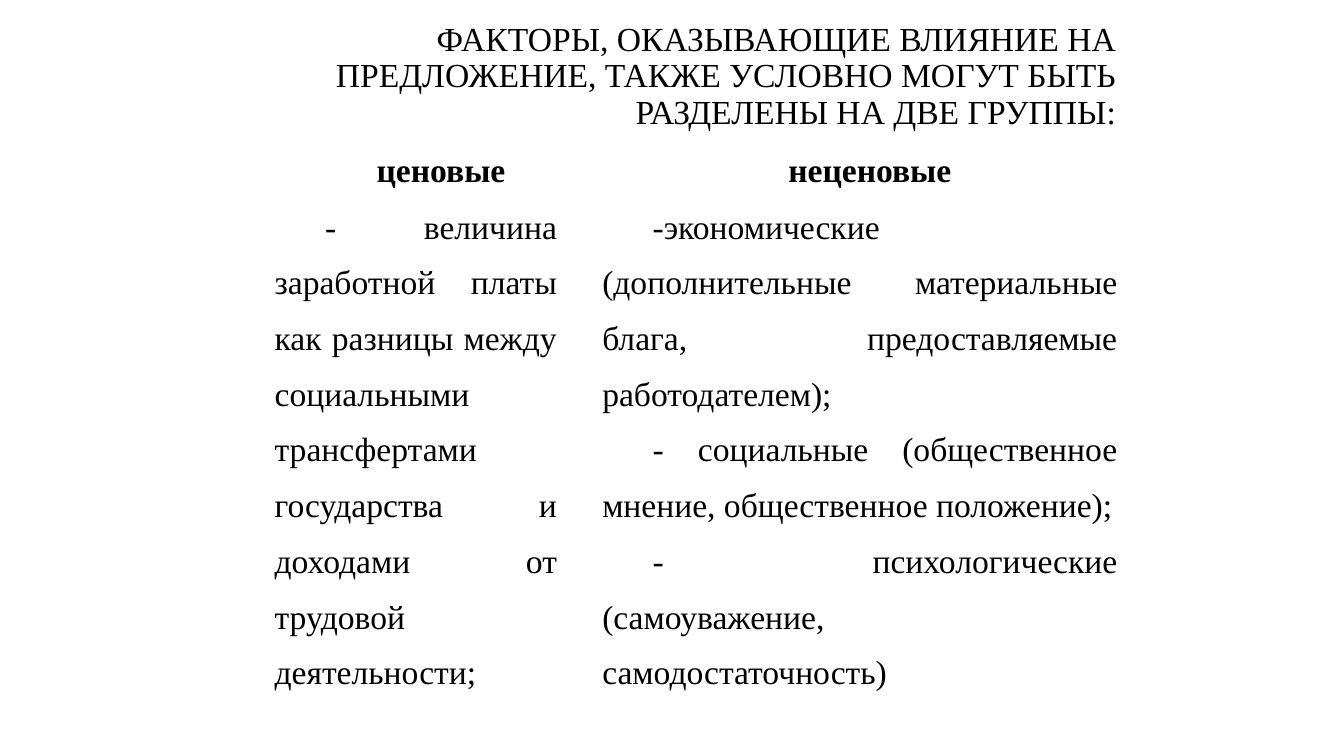
from pptx import Presentation
from pptx.dml.color import RGBColor
from pptx.enum import text
from pptx.util import Pt

TITLE = ("ФАКТОРЫ, ОКАЗЫВАЮЩИЕ ВЛИЯНИЕ НА ПРЕДЛОЖЕНИЕ, "
         "ТАКЖЕ УСЛОВНО МОГУТ БЫТЬ РАЗДЕЛЕНЫ НА ДВЕ ГРУППЫ:")
# Each column: heading, left margin of its factors, factors
COLUMNS = [
    ("ценовые", 0, [
        "- величина заработной платы как разницы между социальными "
        "трансфертами государства и доходами от трудовой деятельности;",
    ]),
    ("неценовые", 21.6, [
        "-экономические (дополнительные материальные блага, "
        "предоставляемые работодателем);",
        "- социальные (общественное мнение, общественное положение);",
        "- психологические (самоуважение, самодостаточность)",
    ]),
]
COLUMN_WIDTHS = [212.4, 400.3]
ROW_HEIGHTS = [40.3, 404.6]
FIRST_LINE_INDENT = 36
COLORS = {"text": "000000", "background": "FFFFFF"}
FONT, SIZE = "Times New Roman", 24


def write(paragraph, content, alignment, spacing, bold=False):
    paragraph.alignment = alignment
    paragraph.line_spacing = spacing
    run = paragraph.add_run()
    run.text = content
    run.font.name = FONT
    run.font.size = Pt(SIZE)
    run.font.bold = bold
    run.font.color.rgb = RGBColor.from_string(COLORS["text"])


def fill_cell(cell, lines, alignment, left=0, bold=False):
    cell.margin_left = cell.margin_right = Pt(5.4)
    cell.margin_top = cell.margin_bottom = Pt(0)
    cell.fill.solid()
    cell.fill.fore_color.rgb = RGBColor.from_string(COLORS["background"])
    frame = cell.text_frame
    for index, line in enumerate(lines):
        paragraph = frame.add_paragraph() if index else frame.paragraphs[0]
        write(paragraph, line, alignment, 1.5, bold)
        properties = paragraph._p.get_or_add_pPr()
        properties.set("marL", str(Pt(left)))
        properties.set("indent", str(Pt(FIRST_LINE_INDENT)))


presentation = Presentation()
presentation.slide_width, presentation.slide_height = Pt(960), Pt(540)
slide = presentation.slides.add_slide(presentation.slide_layouts[5])

# Title, raised by one line through its bottom margin
title = slide.shapes.title
title.left, title.top, title.width, title.height = Pt(197.3), Pt(36), Pt(607), Pt(64)
frame = title.text_frame
frame.word_wrap = True
frame.auto_size = text.MSO_AUTO_SIZE.NONE
frame.vertical_anchor = text.MSO_ANCHOR.MIDDLE
frame.margin_left = frame.margin_right = Pt(7.2)
frame.margin_top, frame.margin_bottom = Pt(3.6), Pt(29.6)
write(frame.paragraphs[0], TITLE, text.PP_ALIGN.RIGHT, 0.9)

# Table of factors
table = slide.shapes.add_table(
    len(ROW_HEIGHTS), len(COLUMNS), Pt(190.8), Pt(95.8),
    Pt(sum(COLUMN_WIDTHS)), Pt(sum(ROW_HEIGHTS))).table
table.first_row = table.horz_banding = False
for row, height in zip(table.rows, ROW_HEIGHTS):
    row.height = Pt(height)
for index, (heading, left, factors) in enumerate(COLUMNS):
    table.columns[index].width = Pt(COLUMN_WIDTHS[index])
    fill_cell(table.cell(0, index), [heading], text.PP_ALIGN.CENTER, bold=True)
    fill_cell(table.cell(1, index), factors, text.PP_ALIGN.JUSTIFY, left)

presentation.save("out.pptx")
